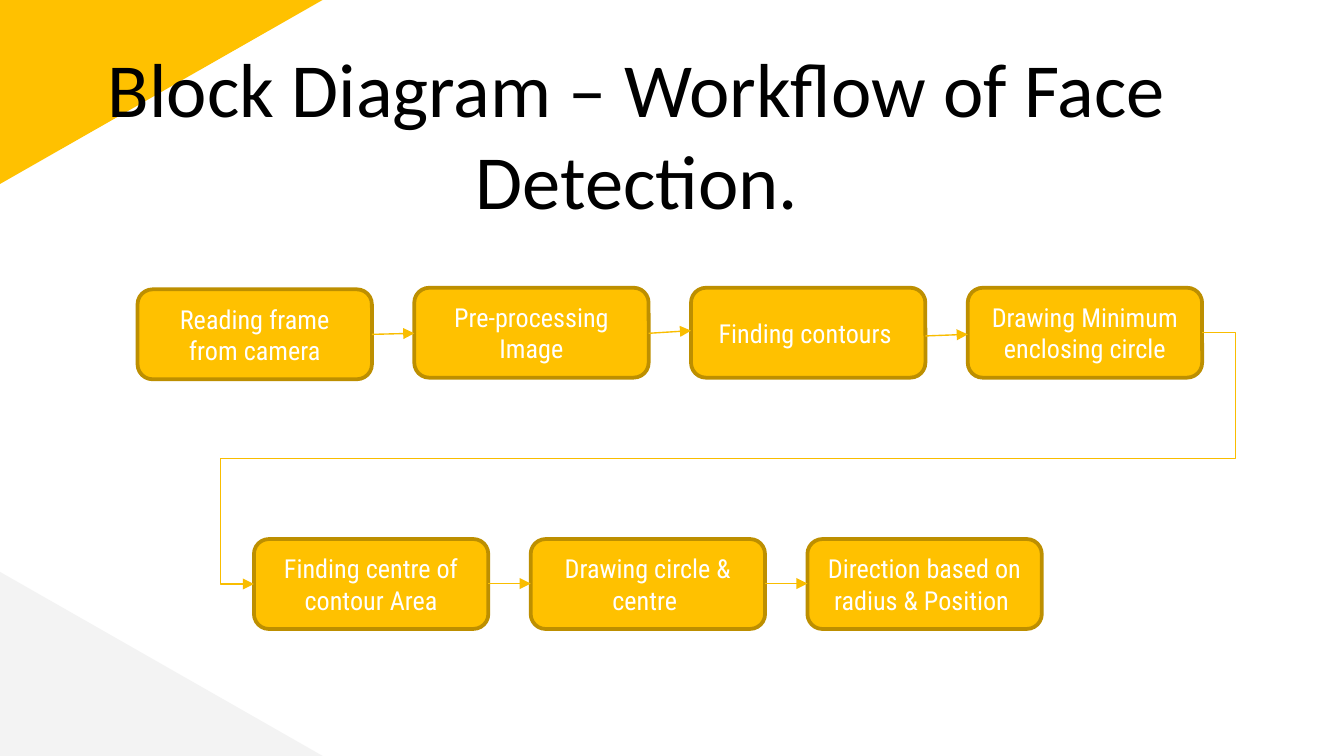
"""Build the face detection workflow slide."""
from lxml.etree import SubElement
from pptx import Presentation
from pptx.dml.color import RGBColor
from pptx.enum.shapes import MSO_CONNECTOR as Connector, MSO_SHAPE as Shape
from pptx.enum.text import MSO_ANCHOR as Anchor, PP_ALIGN as Align
from pptx.oxml.ns import qn
from pptx.util import Cm, Pt

TITLE = "Block Diagram – Workflow of Face Detection."
ROWS = [
    {"left": 2.6, "top": 5.44,
     "steps": ["Reading frame from camera", "Pre-processing Image",
               "Finding contours ", "Drawing Minimum enclosing circle"],
     "arrow_heights": [(6.32, 6.3), (6.3, 6.25), (6.35, 6.32)]},
    {"left": 4.8, "top": 10.19,
     "steps": ["Finding centre of contour Area", "Drawing circle & centre ",
               "Direction based on radius & Position "],
     "arrow_heights": [(11.03, 11.03)] * 2},
]
FIRST_STEP_DROP = 0.03
BOX_WIDTH, BOX_HEIGHT, PITCH = 4.43, 1.7, 5.23
SLIDE_WIDTH, SLIDE_HEIGHT = 25.4, 14.29
CORNER_WIDTH, CORNER_HEIGHT = 6.1, 3.48
BEND = {"adj1": -3500, "adj2": 50000, "adj3": 103500}
COLORS = {"amber": "FFC100", "edge": "BD8F00", "arrow": "F9BD00",
          "grey": "F3F3F3", "white": "FFFFFF", "black": "000000"}
TITLE_FONT = {"name": "Calibri", "size": Pt(41), "bold": False}
STEP_FONT = {"name": "Roboto Condensed", "size": Pt(14), "bold": False}
TITLE_FRAME = {"word_wrap": True, "vertical_anchor": Anchor.TOP, "margin_left": Cm(0.25),
               "margin_right": Cm(0.25), "margin_top": Cm(0.25), "margin_bottom": Cm(0.25)}
STEP_FRAME = {"word_wrap": True, "vertical_anchor": Anchor.MIDDLE}


def color(name):
    return RGBColor.from_string(COLORS[name])


def apply(target, values):
    for name, value in values.items():
        setattr(target, name, value)


def write(shape, text, font_values, frame_values, color_name):
    frame = shape.text_frame
    apply(frame, frame_values)
    paragraph = frame.paragraphs[0]
    apply(paragraph, {"alignment": Align.CENTER, "line_spacing": 1.0, "space_before": Pt(0)})
    run = paragraph.add_run()
    run.text = text
    apply(run.font, font_values)
    run.font.color.rgb = color(color_name)


def add_filled(slide, kind, left, top, width, height, fill):
    shape = slide.shapes.add_shape(kind, Cm(left), Cm(top), Cm(width), Cm(height))
    shape.shadow.inherit = False
    shape.fill.solid()
    shape.fill.fore_color.rgb = color(fill)
    shape.line.fill.background()
    return shape


def add_corners(slide):
    for top, fill, flip in [(0, "amber", "1"),
                            (SLIDE_HEIGHT - CORNER_HEIGHT, "grey", "0")]:
        corner = add_filled(slide, Shape.RIGHT_TRIANGLE, 0, top,
                            CORNER_WIDTH, CORNER_HEIGHT, fill)
        corner._element.spPr.find(qn("a:xfrm")).set("flipV", flip)


def add_title(slide):
    title = slide.shapes.title
    slide.shapes._spTree.append(title._element)
    apply(title, {"left": Cm(0.79), "top": Cm(0.53), "width": Cm(22.5), "height": Cm(1.6)})
    write(title, TITLE, TITLE_FONT, TITLE_FRAME, "black")


def add_step(slide, text, left, top):
    box = add_filled(slide, Shape.ROUNDED_RECTANGLE, left, top, BOX_WIDTH, BOX_HEIGHT, "amber")
    box.line.color.rgb = color("edge")
    box.line.width = Pt(2)
    write(box, text, STEP_FONT, STEP_FRAME, "white")


def add_arrow(slide, start, end, kind=Connector.STRAIGHT):
    arrow = slide.shapes.add_connector(kind, *map(Cm, start + end))
    arrow.line.color.rgb = color("arrow")
    arrow.line.width = Pt(0.75)
    SubElement(arrow.line._get_or_add_ln(), qn("a:tailEnd"), type="triangle")
    SubElement(arrow._element.spPr, qn("a:effectLst"))
    return arrow


def add_row_link(slide):
    upper, lower = ROWS
    right = upper["left"] + PITCH * (len(upper["steps"]) - 1) + BOX_WIDTH
    start = (right, upper["top"] + BOX_HEIGHT / 2)
    end = (lower["left"], lower["top"] + BOX_HEIGHT / 2)
    link = add_arrow(slide, start, end, Connector.ELBOW)
    geometry = link._element.spPr.find(qn("a:prstGeom"))
    geometry.set("prst", "bentConnector5")
    guides = geometry.find(qn("a:avLst"))
    for name, value in BEND.items():
        SubElement(guides, qn("a:gd"), name=name, fmla=f"val {value}")


def main():
    presentation = Presentation()
    apply(presentation, {"slide_width": Cm(SLIDE_WIDTH), "slide_height": Cm(SLIDE_HEIGHT)})
    slide = presentation.slides.add_slide(presentation.slide_layouts[5])
    add_corners(slide)
    add_title(slide)
    for row in ROWS:
        for index, text in enumerate(row["steps"]):
            drop = FIRST_STEP_DROP if row is ROWS[0] and index == 0 else 0
            add_step(slide, text, row["left"] + PITCH * index, row["top"] + drop)
    for row in ROWS:
        for index, (start_height, end_height) in enumerate(row["arrow_heights"]):
            left = row["left"] + PITCH * index
            add_arrow(slide, (left + BOX_WIDTH, start_height), (left + PITCH, end_height))
    add_row_link(slide)
    presentation.save("out.pptx")


if __name__ == "__main__":
    main()
